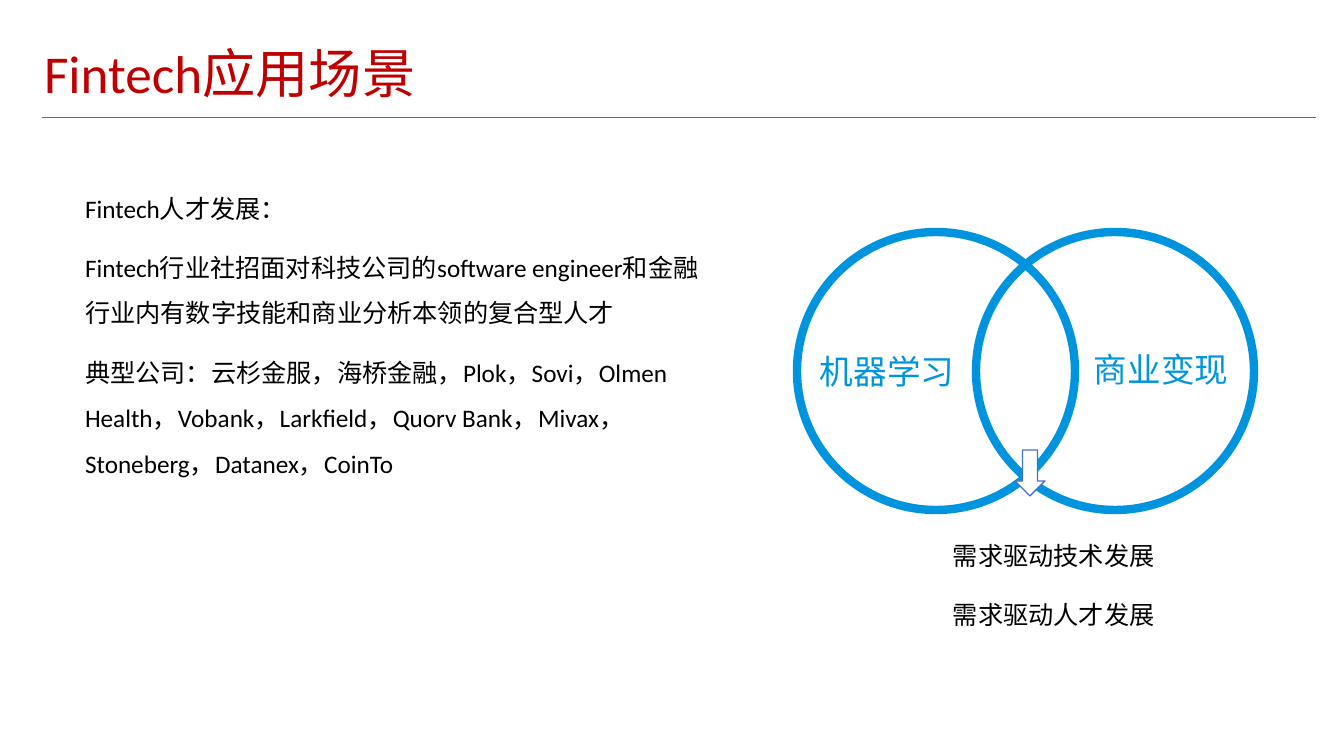
import pptx
import pptx.dml.color
import pptx.enum.shapes
import pptx.enum.text
import pptx.util
from lxml import etree

SCALE = 914400 / 100.8
INK = "000000"
RED = "C00000"
RING_BLUE = "0094DE"
LABEL_BLUE = "0095DF"
RULE_BLUE = "3F6FC3"
ARROW_BLUE = "4472C4"
WHITE = "FFFFFF"
DRAWING = "http://schemas.openxmlformats.org/drawingml/2006/main"
SHAPES = pptx.enum.shapes.MSO_SHAPE
ANCHOR = pptx.enum.text.MSO_ANCHOR


def px(length):
    return pptx.util.Emu(round(length * SCALE))


def color(code):
    return pptx.dml.color.RGBColor.from_string(code)


def set_all(target, values):
    for name, value in values.items():
        setattr(target, name, value)


def add_text(page, box, lines, size, ink, font="Calibri", spacing=1.0,
             before=0, inset=5, anchor=ANCHOR.TOP):
    frame = page.shapes.add_textbox(*map(px, box)).text_frame
    set_all(frame, {
        "word_wrap": True,
        "vertical_anchor": anchor,
        "margin_left": px(inset),
        "margin_right": px(inset),
        "margin_top": px(inset),
        "margin_bottom": px(inset),
    })
    for index, line in enumerate(lines):
        para = frame.paragraphs[0] if index == 0 else frame.add_paragraph()
        set_all(para, {
            "line_spacing": spacing,
            "space_before": pptx.util.Pt(before if index else 0),
        })
        span = para.add_run()
        span.text = line
        set_all(span.font, {"name": font, "size": pptx.util.Pt(size)})
        span.font.color.rgb = color(ink)


def add_outlined(page, kind, box, line, width, fill=None):
    shape = page.shapes.add_shape(kind, *map(px, box))
    shape.shadow.inherit = False
    if fill:
        shape.fill.solid()
        shape.fill.fore_color.rgb = color(fill)
    else:
        shape.fill.background()
    shape.line.color.rgb = color(line)
    shape.line.width = pptx.util.Pt(width)
    return shape


def add_header(page, box):
    left, top, width, height = box
    add_text(page, (left - 3, top, width, height), ["Fintech应用场景"],
             38, RED, spacing=0.9, anchor=ANCHOR.MIDDLE)
    base = top + height + 6
    rule = page.shapes.add_connector(
        pptx.enum.shapes.MSO_CONNECTOR.STRAIGHT,
        px(left), px(base), px(left + width), px(base))
    rule.line.color.rgb = color(RULE_BLUE)
    rule.line.width = pptx.util.Pt(0.75)
    etree.SubElement(rule._element.spPr, f"{{{DRAWING}}}effectLst")


def add_body(page, box):
    add_text(page, box, [
        "Fintech人才发展：",
        "Fintech行业社招面对科技公司的software engineer和金融行业内有数字技能和商业分析本领的复合型人才",
        "典型公司：云杉金服，海桥金融，Plok，Sovi，Olmen Health，Vobank，Larkfield，"
        "Quorv Bank，Mivax，Stoneberg，Datanex，CoinTo",
    ], 18, INK, spacing=1.5, before=10)


def add_venn(page, box):
    left, top, width, height = box
    rings = (("机器学习", left, 23, 119),
             ("商业变现", left + width - height, 118, 117))
    for label, ring_left, label_shift, label_drop in rings:
        add_outlined(page, SHAPES.OVAL, (ring_left, top, height, height),
                     RING_BLUE, 6)
        add_text(page, (ring_left + label_shift, top + label_drop, 150, 42),
                 [label], 24, LABEL_BLUE, font="Noto Sans CJK SC", inset=0)
    arrow = add_outlined(page, SHAPES.RIGHT_ARROW,
                         (left + 210, top + 226, 46, 30),
                         ARROW_BLUE, 1, WHITE)
    arrow.rotation = 90
    add_text(page, (left + 151, top + 288, 332, 56),
             ["需求驱动技术发展", "需求驱动人才发展"],
             18, INK, spacing=1.5, before=10)


def main():
    deck = pptx.Presentation()
    set_all(deck, {"slide_width": px(1344), "slide_height": px(756)})
    page = deck.slides.add_slide(deck.slide_layouts[6])
    add_header(page, (42, 40, 1274, 72))
    add_body(page, (80, 173, 635, 464))
    add_venn(page, (797, 232, 457, 278))
    deck.save("out.pptx")


if __name__ == "__main__":
    main()
